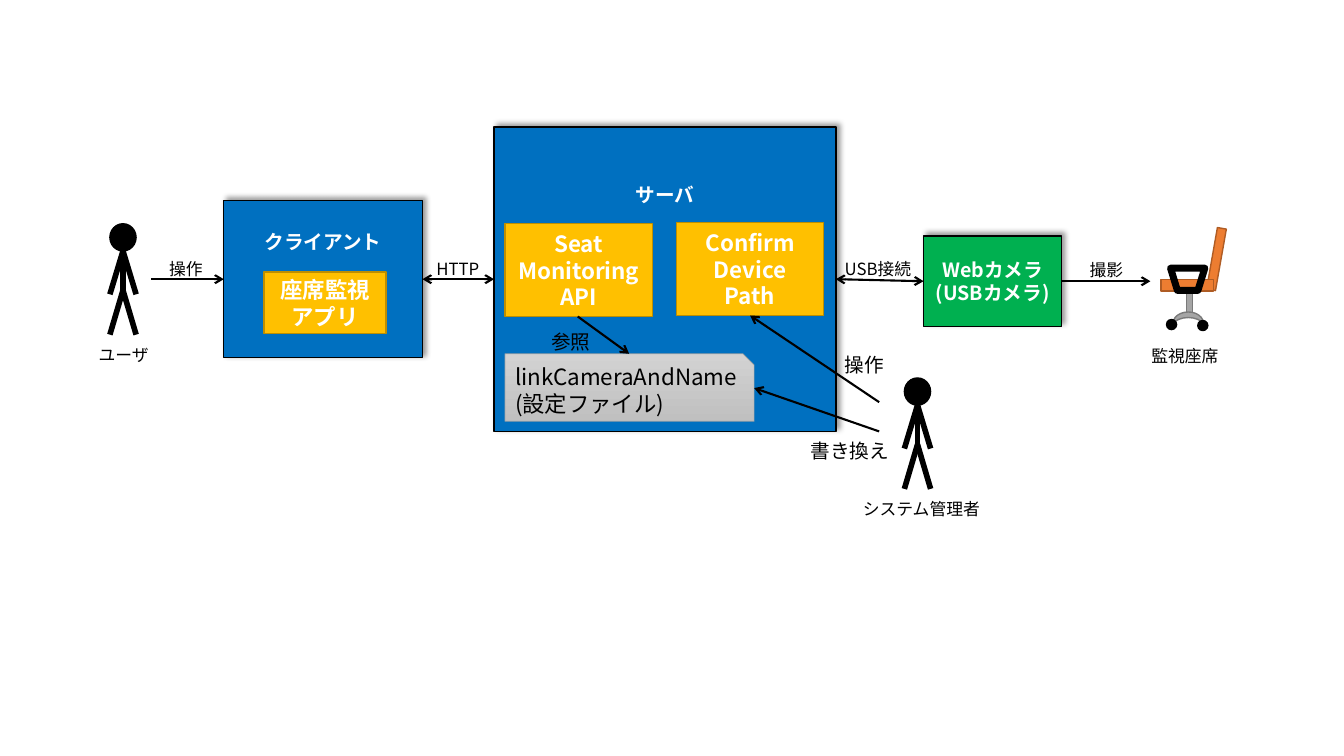
from lxml import etree
from pptx import Presentation
from pptx.dml.color import RGBColor
from pptx.enum.shapes import MSO_CONNECTOR, MSO_SHAPE
from pptx.enum.text import MSO_ANCHOR, PP_ALIGN
from pptx.oxml.ns import qn
from pptx.util import Inches, Pt

STRAIGHT = MSO_CONNECTOR.STRAIGHT
RECT, OVAL, MOON = MSO_SHAPE.RECTANGLE, MSO_SHAPE.OVAL, MSO_SHAPE.MOON
SNIPPED, ARMREST = MSO_SHAPE.SNIP_1_RECTANGLE, MSO_SHAPE.FLOWCHART_MANUAL_OPERATION
TOP, MIDDLE = MSO_ANCHOR.TOP, MSO_ANCHOR.MIDDLE
LEFT, CENTER = PP_ALIGN.LEFT, PP_ALIGN.CENTER

THEME = {
    "font": "Noto Sans CJK JP",
    "label": 12, "title": 14, "module": 16,
    "black": "000000", "white": "FFFFFF",
    "blue": "0070C0", "green": "00B050",
    "amber": "FFC000", "amber_edge": "BD8E00",
    "orange": "ED7D31", "orange_edge": "AF5C24",
    "gray": "A5A5A5", "gray_edge": "7A7A7A",
    "file_light": "D2D2D2", "file_dark": "C0C0C0",
}

# Text, (left, top, width, height), fill, anchor, top inset
HOSTS = [
    ("クライアント", (2.22, 1.99, 1.97, 1.56), "blue", TOP, 0.29),
    ("Webカメラ\n(USBカメラ)", (9.16, 2.34, 1.37, 0.9), "green", MIDDLE, 0.05),
    ("サーバ", (4.9, 1.26, 3.39, 3.02), "blue", TOP, 0.55),
]
MODULES = [
    ("Seat Monitoring API", (5.01, 2.22, 1.46, 0.92)),
    ("座席監視アプリ", (2.62, 2.7, 1.21, 0.61)),
    ("Confirm\nDevice\nPath", (6.71, 2.21, 1.46, 0.92)),
]
CONFIG_FILE = ("linkCameraAndName\v(設定ファイル)", (5.01, 3.51, 2.47, 0.67))

# Start, end, arrowhead at both ends
ARROWS = [
    ((1.5, 2.77), (2.22, 2.77), False),
    ((4.19, 2.77), (4.9, 2.77), True),
    ((8.29, 2.77), (9.16, 2.79), True),
    ((10.53, 2.79), (11.41, 2.79), False),
    ((5.73, 3.14), (6.24, 3.51), False),
    ((8.72, 3.99), (7.44, 3.13), False),
    ((8.72, 4.28), (7.48, 3.85), False),
]
LABELS = [
    ("操作", (1.58, 2.52, 0.66, 0.3), "label"),
    ("HTTP", (4.23, 2.52, 0.68, 0.3), "label"),
    ("USB接続", (8.28, 2.52, 0.9, 0.3), "label"),
    ("撮影", (10.71, 2.53, 0.66, 0.3), "label"),
    ("ユーザ", (0.88, 3.37, 0.79, 0.3), "label"),
    ("監視座席", (11.32, 3.38, 0.89, 0.3), "label"),
    ("システム管理者", (8.46, 4.9, 1.39, 0.3), "label"),
    ("参照", (5.37, 3.22, 0.61, 0.34), "title"),
    ("操作", (8.28, 3.45, 0.61, 0.34), "title"),
    ("書き換え", (7.94, 4.3, 0.98, 0.29), "title"),
]

PEOPLE = [(1.09, 2.22), (8.97, 3.75)]
HEAD = (0.26, 0.27)
# Joints are offsets from the top left of the head
NECK, CHEST, HIP = (0.13, 0.27), (0.13, 0.7), (0.13, 0.66)
LIMBS = [(NECK, CHEST), (HIP, (0, 1.1)), (HIP, (0.26, 1.1)),
         (NECK, (0.26, 0.7)), (NECK, (0, 0.7))]

# Preset, frame, rotation, fill, line colour, line width
CHAIR = [
    (RECT, (11.77, 2.8, 0.06, 0.34), 0, "gray", "gray_edge", 1),
    (RECT, (12.02, 2.26, 0.09, 0.62), 10, "orange", "orange_edge", 1),
    (RECT, (11.72, 2.57, 0.11, 0.52), 270, "orange", "orange_edge", 1),
    (MOON, (11.73, 3, 0.11, 0.3), 90, "gray", "gray_edge", 1),
    (OVAL, (11.57, 3.17, 0.1, 0.1), 0, "black", "black", 1),
    (OVAL, (11.88, 3.18, 0.1, 0.1), 0, "black", "black", 1),
    (ARMREST, (11.61, 2.66, 0.34, 0.22), 0, None, "black", 5),
]


def color(name):
    return RGBColor.from_string(THEME[name])


def add_box(shapes, preset, frame, fill=None, line="black", width=1, rotation=0):
    box = shapes.add_shape(preset, *map(Inches, frame))
    box.shadow.inherit = False
    box.rotation = rotation
    if fill:
        box.fill.solid()
        box.fill.fore_color.rgb = color(fill)
    else:
        box.fill.background()
    box.line.color.rgb = color(line)
    box.line.width = Pt(width)
    return box


def write(box, text, size="label", ink="black", bold=False, align=LEFT,
          anchor=TOP, top=0.05, right=0.1):
    frame = box.text_frame
    frame.word_wrap = True
    frame.vertical_anchor = anchor
    frame.margin_top, frame.margin_right = Inches(top), Inches(right)
    for index, line in enumerate(text.split("\n")):
        para = frame.add_paragraph() if index else frame.paragraphs[0]
        para.text = line
        para.alignment = align
        for span in para.runs:
            span.font.name = THEME["font"]
            span.font.size = Pt(THEME[size])
            span.font.bold = bold
            span.font.color.rgb = color(ink)
            east_asian = etree.SubElement(span.font._element, qn("a:ea"))
            east_asian.set("typeface", THEME["font"])


def add_line(shapes, start, end, width):
    line = shapes.add_connector(STRAIGHT, *map(Inches, start + end))
    line.line.color.rgb = color("black")
    line.line.width = Pt(width)
    etree.SubElement(line._element.spPr, qn("a:effectLst"))
    return line


def add_arrow(shapes, start, end, both):
    outline = add_line(shapes, start, end, 1.5).line._get_or_add_ln()
    for tag in ("a:headEnd", "a:tailEnd") if both else ("a:tailEnd",):
        etree.SubElement(outline, qn(tag)).set("type", "arrow")


def add_shadow(box):
    effects = box._element.spPr.find(qn("a:effectLst"))
    shadow = etree.SubElement(effects, qn("a:outerShdw"), blurRad=str(Pt(4)),
                              dist=str(Pt(3)), dir=str(315 * 60000))
    ink = etree.SubElement(shadow, qn("a:srgbClr"), val=THEME["black"])
    etree.SubElement(ink, qn("a:alpha"), val="40000")


def add_person(page, left, top):
    person = page.shapes.add_group_shape().shapes
    add_box(person, OVAL, (left, top) + HEAD, "black")
    for start, end in LIMBS:
        add_line(person, (left + start[0], top + start[1]),
                 (left + end[0], top + end[1]), 4)


def add_config_file(page):
    text, frame = CONFIG_FILE
    box = add_box(page.shapes, SNIPPED, frame, line="gray", width=0.5)
    box.fill.gradient()
    box.fill.gradient_angle = 270
    for stop, shade in zip(box.fill.gradient_stops, ("file_light", "file_dark")):
        stop.color.rgb = color(shade)
    write(box, text, size="module", anchor=MIDDLE)


def main():
    deck = Presentation()
    deck.slide_width, deck.slide_height = Inches(13.33), Inches(7.5)
    page = deck.slides.add_slide(deck.slide_layouts[6])

    for text, frame, fill, anchor, top in HOSTS:
        host = add_box(page.shapes, RECT, frame, fill)
        add_shadow(host)
        write(host, text, size="title", ink="white", bold=True, align=CENTER,
              anchor=anchor, top=top)
    for text, frame in MODULES:
        module = add_box(page.shapes, RECT, frame, "amber", "amber_edge")
        write(module, text, size="module", ink="white", bold=True, align=CENTER,
              anchor=MIDDLE)
    add_config_file(page)

    for left, top in PEOPLE:
        add_person(page, left, top)
    chair = page.shapes.add_group_shape().shapes
    for preset, frame, rotation, fill, line, width in CHAIR:
        add_box(chair, preset, frame, fill, line, width, rotation)

    for start, end, both in ARROWS:
        add_arrow(page.shapes, start, end, both)
    for text, frame, size in LABELS:
        label = page.shapes.add_textbox(*map(Inches, frame))
        write(label, text, size=size, right=0)

    deck.save("out.pptx")


if __name__ == "__main__":
    main()
